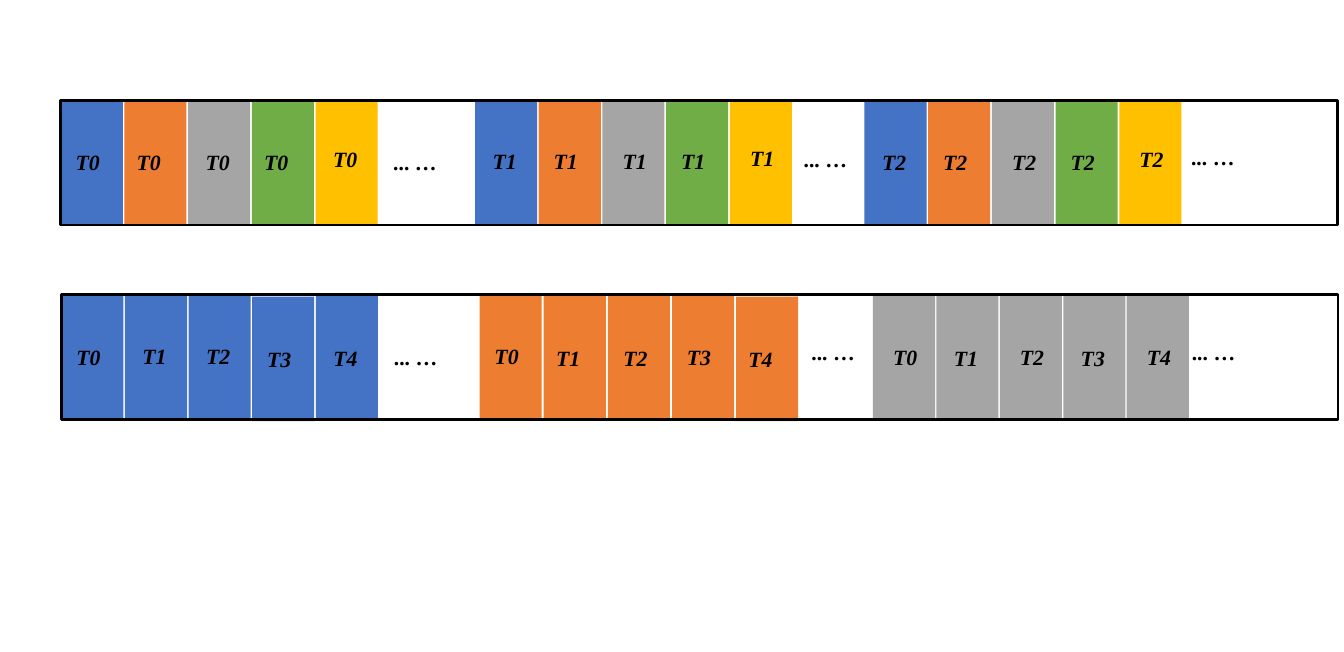
from dataclasses import dataclass

from pptx import Presentation
from pptx.dml.color import RGBColor
from pptx.enum.shapes import MSO_SHAPE
from pptx.enum.text import MSO_AUTO_SIZE
from pptx.shapes.autoshape import Shape
from pptx.slide import Slide
from pptx.util import Pt

RECTANGLE = MSO_SHAPE.RECTANGLE
FIT_SHAPE = MSO_AUTO_SIZE.SHAPE_TO_FIT_TEXT

BLUE, ORANGE, GRAY, GREEN, YELLOW = "4472C4", "ED7D31", "A5A5A5", "70AD47", "FFC000"
BLACK = "000000"
FONT = "Times New Roman"

# All lengths are in points
CELL_WIDTH, ROW_WIDTH, ROW_HEIGHT = 68.5, 1409, 137.5
LABEL_WIDTH, ELLIPSIS_WIDTH, TEXT_HEIGHT = 44.6, 69.1, 36.35
LABEL_DROP = 50.4
CELLS = 5


@dataclass
class Group:
    left: float
    top: float
    pitch: float
    fills: list[str]
    labels: list[str]
    label_insets: list[float]
    label_drops: list[float]
    cell_drops: list[float]


@dataclass
class MemoryRow:
    left: float
    top: float
    groups: list[Group]
    ellipses: list[tuple[float, float]]


def color(value: str) -> RGBColor:
    return RGBColor.from_string(value)


def add_rectangle(slide: Slide, left: float, top: float, width: float) -> Shape:
    shape = slide.shapes.add_shape(RECTANGLE, Pt(left), Pt(top), Pt(width), Pt(ROW_HEIGHT))
    shape.shadow.inherit = False
    return shape


def add_cell(slide: Slide, left: float, top: float, fill: str) -> None:
    cell = add_rectangle(slide, left, top, CELL_WIDTH)
    cell.fill.solid()
    cell.fill.fore_color.rgb = color(fill)
    cell.line.fill.background()


def add_frame(slide: Slide, left: float, top: float) -> None:
    frame = add_rectangle(slide, left, top, ROW_WIDTH)
    frame.fill.background()
    frame.line.color.rgb = color(BLACK)
    frame.line.width = Pt(3)


def add_text(slide: Slide, text: str, left: float, top: float, width: float) -> None:
    box = slide.shapes.add_textbox(Pt(left), Pt(top), Pt(width), Pt(TEXT_HEIGHT))
    box.text_frame.word_wrap = False
    box.text_frame.auto_size = FIT_SHAPE
    paragraph = box.text_frame.paragraphs[0]
    paragraph.text = text
    font = paragraph.font
    font.name = FONT
    font.size = Pt(24)
    font.bold = font.italic = True
    font.color.rgb = color(BLACK)


def add_group(slide: Slide, group: Group) -> None:
    for index in range(CELLS):
        left = group.left + index * group.pitch
        top = group.top + group.cell_drops[index]
        add_cell(slide, left, top, group.fills[index])
        add_text(slide, group.labels[index], left + group.label_insets[index],
                 top + group.label_drops[index], LABEL_WIDTH)


def add_row(slide: Slide, row: MemoryRow) -> None:
    for group in row.groups:
        add_group(slide, group)
    for left, top in row.ellipses:
        add_text(slide, "... …", left, top, ELLIPSIS_WIDTH)
    add_frame(slide, row.left, row.top)


def interleaved_group(thread: int, left: float, top: float, inset: float) -> Group:
    """One thread with a cell of every colour."""
    return Group(left, top, 70.3, [BLUE, ORANGE, GRAY, GREEN, YELLOW],
                 [f"T{thread}"] * CELLS,
                 [inset + shift for shift in (0, -2.9, 2.9, -2.9, 2.9)],
                 [LABEL_DROP] * 4 + [46.8], [0] * CELLS)


def blocked_group(fill: str, left: float, pitch: float,
                  insets: list[float], drops: list[float]) -> Group:
    """One colour with a cell for every thread."""
    return Group(left, 324.7, pitch, [fill] * CELLS,
                 [f"T{thread}" for thread in range(CELLS)],
                 insets, [LABEL_DROP] * CELLS, drops)


ROWS = [
    # Grouped by thread
    MemoryRow(67, 110.9, [
        interleaved_group(0, 67, 110.9, 9.4),
        interleaved_group(1, 524.2, 109.7, 12.3),
        interleaved_group(2, 954, 110.9, 12.3),
    ], [(427.7, 161.3), (880.6, 157), (1308.2, 154.8)]),
    # Grouped by colour
    MemoryRow(67.7, 325.4, [
        blocked_group(BLUE, 67.7, 70.2, [9.4, 12.2, 12.2, 9.4, 12.2], [0.7, 0, 0, 2.9, 2.2]),
        blocked_group(ORANGE, 529.2, 70.8, [9.4, 6.5, 10, 9.4, 6.5], [0, 2.2, 2.2, 0.7, 2.9]),
        blocked_group(GRAY, 963.4, 70, [15.1, 12.2, 15.1, 12.2, 15.1], [0.7, 2.2, 0.7, 2.2, 0.7]),
    ], [(428.4, 376.6), (889.2, 370.1), (1309, 370.1)]),
]


def main() -> None:
    presentation = Presentation()
    presentation.slide_width = Pt(1483.2)
    presentation.slide_height = Pt(720)
    slide = presentation.slides.add_slide(presentation.slide_layouts[6])
    for row in ROWS:
        add_row(slide, row)
    presentation.save("out.pptx")


if __name__ == "__main__":
    main()
